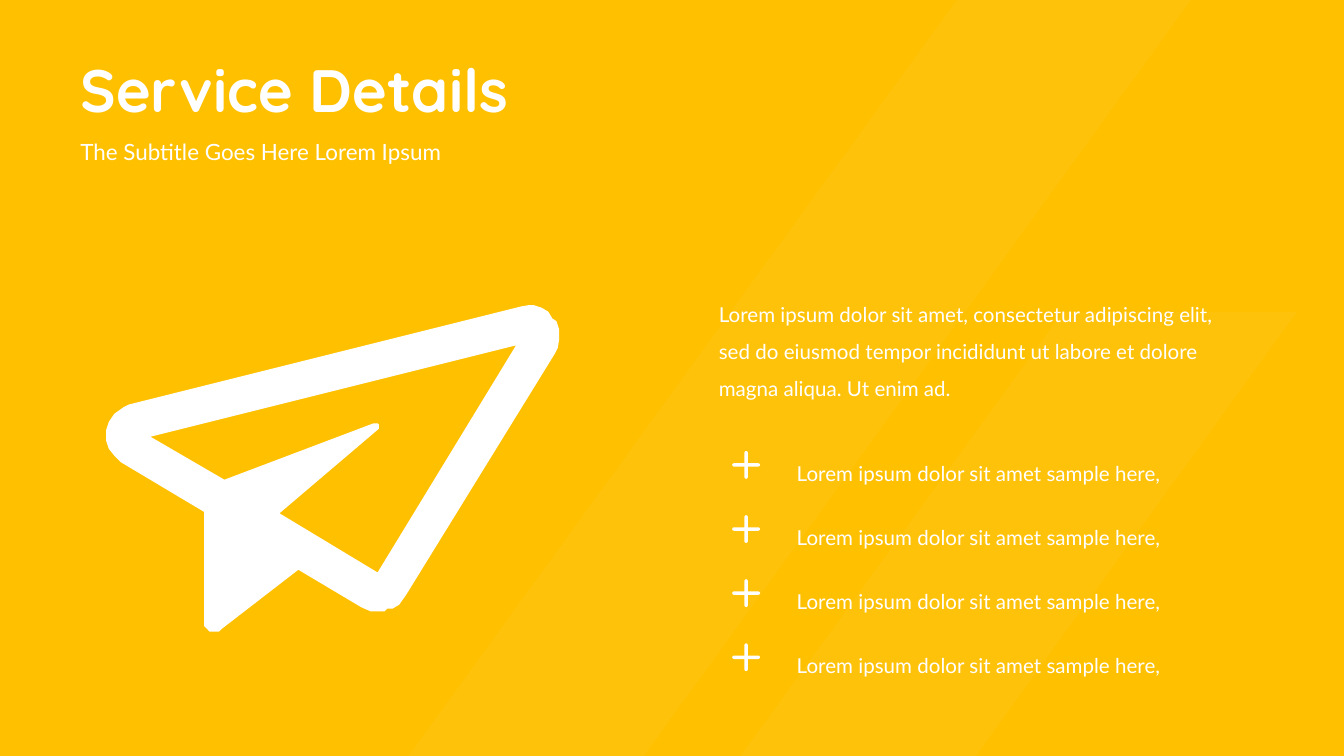
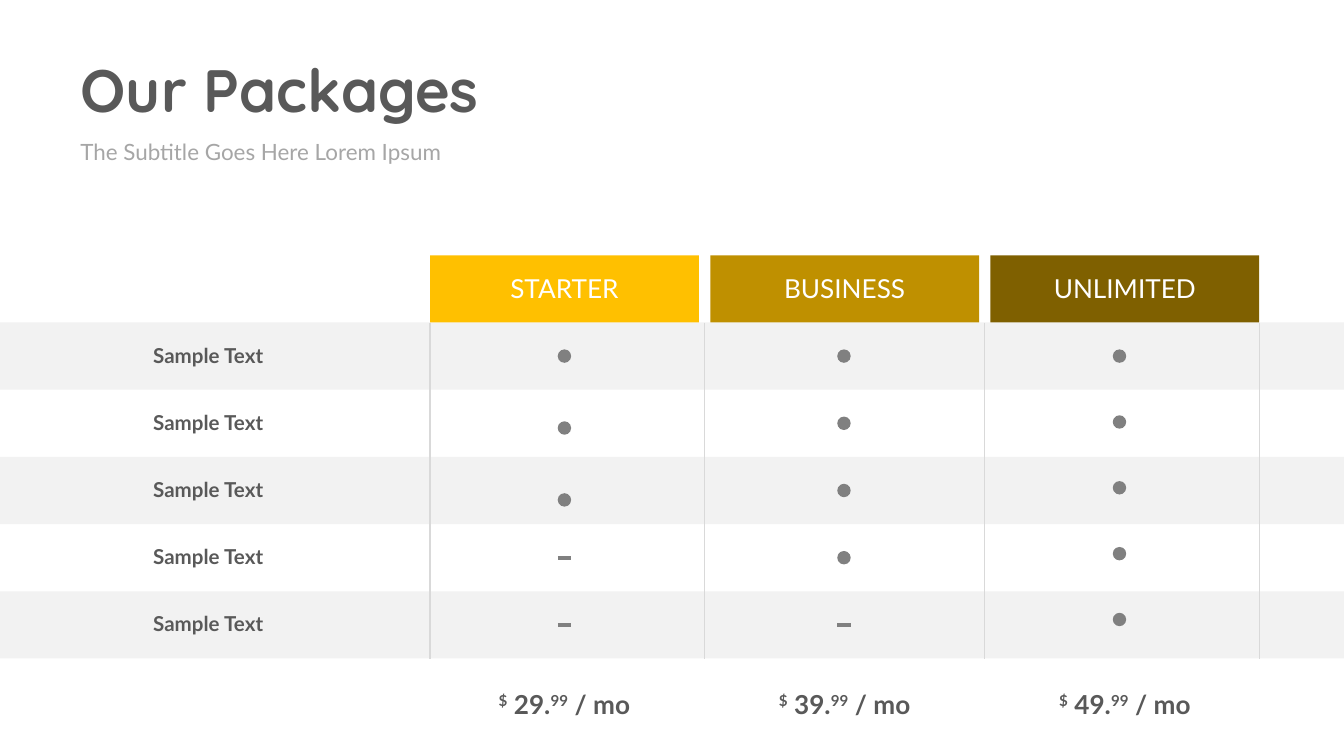
import math
from dataclasses import dataclass

import lxml.etree
import pptx
import pptx.dml.color
import pptx.enum.shapes
import pptx.enum.text
import pptx.oxml.ns
import pptx.presentation
import pptx.shapes.base
import pptx.slide
import pptx.util

# Grid: 100 columns by 56.25 rows of square cells
WIDTH = pptx.util.Inches(10)
HEIGHT = pptx.util.Inches(5.625)
COLS, ROWS = 100, 56.25
FINE = 100  # outline steps per cell

COLORS = {
    "white": "FFFFFF",
    "amber": "FFC000",
    "gold": "BF9000",
    "bronze": "7F6000",
    "cream": "FFFAEB",
    "heading": "595959",
    "subtitle": "A6A6A6",
    "stripe": "F2F2F2",
    "divider": "D9D9D9",
    "mark": "808080",
}
TITLE_FONT, BODY_FONT = "Quicksand", "Lato"
SUBTITLE = "The Subtitle Goes Here Lorem Ipsum"
ALIGN = pptx.enum.text.PP_ALIGN
SHAPE = pptx.enum.shapes.MSO_SHAPE

Point = tuple[float, float]


@dataclass(frozen=True)
class Box:
    left: float
    top: float
    width: float
    height: float

    def emu(self) -> tuple[int, int, int, int]:
        return col(self.left), row(self.top), col(self.width), row(self.height)


@dataclass(frozen=True)
class Style:
    size: float
    color: str
    bold: bool = False
    font: str = BODY_FONT
    align: ALIGN = ALIGN.LEFT
    spacing: float = 1


@dataclass(frozen=True)
class Plan:
    name: str
    color: str
    dollars: str
    dots: int
    dot_left: float
    dot_pitch: float


def col(n: float) -> int:
    return round(WIDTH * n / COLS)


def row(n: float) -> int:
    return round(HEIGHT * n / ROWS)


def rgb(name: str) -> pptx.dml.color.RGBColor:
    return pptx.dml.color.RGBColor.from_string(COLORS[name])


# Drawing helpers
def paint(sp: pptx.shapes.base.BaseShape, color: str) -> None:
    sp.shadow.inherit = False
    sp.fill.solid()
    sp.fill.fore_color.rgb = rgb(color)
    sp.line.fill.background()


def add_block(s: pptx.slide.Slide, kind: SHAPE, box: Box, color: str) -> None:
    paint(s.shapes.add_shape(kind, *box.emu()), color)


def add_outline(s: pptx.slide.Slide, contours: list[list[Point]],
                color: str) -> pptx.shapes.base.BaseShape:
    scaled = [[(x * FINE, y * FINE) for x, y in c] for c in contours]
    builder = s.shapes.build_freeform(*scaled[0][0], scale=col(1) / FINE)
    for i, contour in enumerate(scaled):
        if i:
            builder.move_to(*contour[0])
        builder.add_line_segments(contour[1:], close=True)
    sp = builder.convert_to_shape()
    paint(sp, color)
    return sp


def add_line(s: pptx.slide.Slide, start: Point, end: Point,
             color: str, weight: float) -> None:
    line = s.shapes.add_connector(
        pptx.enum.shapes.MSO_CONNECTOR.STRAIGHT,
        col(start[0]), row(start[1]), col(end[0]), row(end[1]))
    line.line.color.rgb = rgb(color)
    line.line.width = pptx.util.Pt(weight)
    lxml.etree.SubElement(line._element.spPr, pptx.oxml.ns.qn("a:effectLst"))


def style_text(sp: pptx.shapes.base.BaseShape, style: Style) -> None:
    tf = sp.text_frame
    tf.word_wrap = True
    tf.auto_size = pptx.enum.text.MSO_AUTO_SIZE.SHAPE_TO_FIT_TEXT
    tf.vertical_anchor = pptx.enum.text.MSO_ANCHOR.TOP
    for p in tf.paragraphs:
        p.alignment = style.align
        p.line_spacing = style.spacing
        for r in p.runs:
            r.font.name = style.font
            r.font.size = pptx.util.Pt(style.size)
            r.font.bold = style.bold
            r.font.color.rgb = rgb(style.color)


def add_text(s: pptx.slide.Slide, text: str, box: Box, style: Style) -> None:
    sp = s.shapes.add_textbox(*box.emu())
    sp.text_frame.text = text
    style_text(sp, style)


def add_price(s: pptx.slide.Slide, dollars: str, box: Box) -> None:
    sp = s.shapes.add_textbox(*box.emu())
    p = sp.text_frame.paragraphs[0]
    for text, raised in (("$", True), (f" {dollars}.", False),
                         ("99", True), (" / mo", False)):
        r = p.add_run()
        r.text = text
        if raised:
            r._r.get_or_add_rPr().set("baseline", "30000")
    style_text(sp, Style(14, "heading", bold=True, align=ALIGN.CENTER))


# Shared slide frame
def new_slide(prs: pptx.presentation.Presentation, background: str) -> pptx.slide.Slide:
    s = prs.slides.add_slide(prs.slide_layouts[5])
    s.background.fill.solid()
    s.background.fill.fore_color.rgb = rgb(background)
    return s


def add_heading(s: pptx.slide.Slide, title: str, title_color: str,
                subtitle_color: str) -> None:
    sp = s.shapes.title
    sp.left, sp.top, sp.width, sp.height = Box(5, 3.4, 62.5, 6.4).emu()
    sp.text_frame.text = title
    style_text(sp, Style(32, title_color, bold=True, font=TITLE_FONT))
    add_text(s, SUBTITLE, Box(5, 9.8, 47.5, 3), Style(12, subtitle_color))


# Service details
DIAGONALS = [
    [(79.1, 23.2), (96.5, 23.2), (72.6, ROWS), (55.1, ROWS)],
    [(71.2, 0), (88.6, 0), (47.9, ROWS), (30.4, ROWS)],
]
PLANE = [
    [(38.4, 25.7), (11.2, 32.5), (16.7, 35.7), (27.8, 31.5), (28.1, 31.5),
     (28.2, 31.6), (28.2, 31.9), (20.8, 38.2), (28.1, 42.6)],
    [(39.4, 22.7), (39.7, 22.7), (40.3, 22.9), (40.8, 23.2), (41.1, 23.7),
     (41.4, 23.9), (41.6, 24.5), (41.6, 25.3), (41.5, 25.9), (41.3, 26.3),
     (30.2, 44.3), (29.7, 45), (29.2, 45.3), (28.8, 45.3), (28.6, 45.5),
     (27.6, 45.5), (26.9, 45.2), (22.2, 42.4), (16.5, 46.8), (16.3, 47),
     (15.6, 47), (15.2, 46.6), (15.2, 38.1), (9, 34.4), (8.5, 33.9),
     (8.1, 33.4), (7.9, 32.8), (7.9, 32), (8.1, 31.4), (8.5, 30.8),
     (9.2, 30.3), (9.6, 30.1), (38.8, 22.8)],
]
INTRO = ("Lorem ipsum dolor sit amet, consectetur adipiscing elit, sed do eiusmod "
         "tempor incididunt ut labore et dolore magna aliqua. Ut enim ad.")
FEATURES = ["Lorem ipsum dolor sit amet sample here,"] * 4
FEATURE_TOP, FEATURE_PITCH = 32.9, 4.77


def plus_outline(x: float, y: float, reach: float = 1.04,
                 half: float = 0.13) -> list[Point]:
    """Cross with four round-ended arms, centred on (x, y)."""
    points = []
    for arm in range(4):
        turn = math.pi / 2 * arm
        cx = x + (reach - half) * math.cos(turn)
        cy = y + (reach - half) * math.sin(turn)
        for step in range(-2, 3):
            angle = turn + math.pi / 4 * step
            points.append((cx + half * math.cos(angle), cy + half * math.sin(angle)))
        corner = turn + math.pi / 4
        inner = half * math.sqrt(2)
        points.append((x + inner * math.cos(corner), y + inner * math.sin(corner)))
    return points


def build_service(prs: pptx.presentation.Presentation) -> None:
    s = new_slide(prs, "amber")
    bands = add_outline(s, DIAGONALS, "cream")
    tint = bands._element.spPr.find(".//" + pptx.oxml.ns.qn("a:srgbClr"))
    lxml.etree.SubElement(tint, pptx.oxml.ns.qn("a:alpha")).set("val", "5000")
    add_heading(s, "Service Details", "white", "white")
    add_outline(s, PLANE, "white")

    body = Style(11, "white", spacing=1.5)
    add_text(s, INTRO, Box(52.5, 21.1, 40.8, 9), body)
    for i, feature in enumerate(FEATURES):
        top = FEATURE_TOP + i * FEATURE_PITCH
        add_outline(s, [plus_outline(55.52, top + 1.7)], "white")
        add_text(s, feature, Box(58.3, top, 34.4, 3.4), body)


# Packages
PLANS = [
    Plan("STARTER", "amber", "29", 3, 41.5, 5.35),
    Plan("BUSINESS", "gold", "39", 4, 62.3, 5),
    Plan("UNLIMITED", "bronze", "49", 5, 82.8, 4.9),
]
FEATURE_ROWS = ["Sample Text"] * 5
PLAN_LEFT, PLAN_WIDTH, PLAN_PITCH = 32, 20, 20.85
HEAD_TOP, GRID_TOP, ROW_HEIGHT = 19, 24, 5
GRID_BOTTOM = GRID_TOP + ROW_HEIGHT * len(FEATURE_ROWS)
DOT = 1


def centred(middle: float, top: float, width: float, height: float) -> Box:
    return Box(middle - width / 2, top, width, height)


def build_packages(prs: pptx.presentation.Presentation) -> None:
    s = new_slide(prs, "white")
    add_heading(s, "Our Packages", "heading", "subtitle")

    # Striped rows and their labels
    label = Style(11, "heading", bold=True, align=ALIGN.CENTER)
    for i, text in enumerate(FEATURE_ROWS):
        top = GRID_TOP + i * ROW_HEIGHT
        if i % 2 == 0:
            add_block(s, SHAPE.RECTANGLE, Box(0, top, COLS, ROW_HEIGHT), "stripe")
        add_text(s, text, Box(9.2, top + 1, 12.6, 2.9), label)

    # Dividers at the outer edges and midway between the plans
    lefts = [PLAN_LEFT + i * PLAN_PITCH for i in range(len(PLANS))]
    gap = PLAN_PITCH - PLAN_WIDTH
    dividers = [lefts[0], *(x - gap / 2 for x in lefts[1:]), lefts[-1] + PLAN_WIDTH]
    for x in dividers:
        add_line(s, (x, GRID_TOP), (x, GRID_BOTTOM), "divider", 0.75)

    # Plan headers, marks and prices
    for left, plan in zip(lefts, PLANS):
        middle = left + PLAN_WIDTH / 2
        add_block(s, SHAPE.RECTANGLE, Box(left, HEAD_TOP, PLAN_WIDTH, ROW_HEIGHT), plan.color)
        add_text(s, plan.name, centred(middle, HEAD_TOP + 0.8, 17.5, 3.4),
                 Style(14, "white", align=ALIGN.CENTER))
        for i in range(len(FEATURE_ROWS)):
            if i < plan.dots:
                dot_top = GRID_TOP + 2 + i * plan.dot_pitch
                add_block(s, SHAPE.OVAL, Box(plan.dot_left, dot_top, DOT, DOT), "mark")
            else:
                y = GRID_TOP + (i + 0.5) * ROW_HEIGHT
                add_line(s, (plan.dot_left, y), (plan.dot_left + DOT, y), "mark", 2.25)
        add_price(s, plan.dollars, centred(middle, GRID_BOTTOM + 1.7, 15.8, 3.4))


def main() -> None:
    prs = pptx.Presentation()
    prs.slide_width, prs.slide_height = WIDTH, HEIGHT
    build_service(prs)
    build_packages(prs)
    prs.save("out.pptx")


if __name__ == "__main__":
    main()
